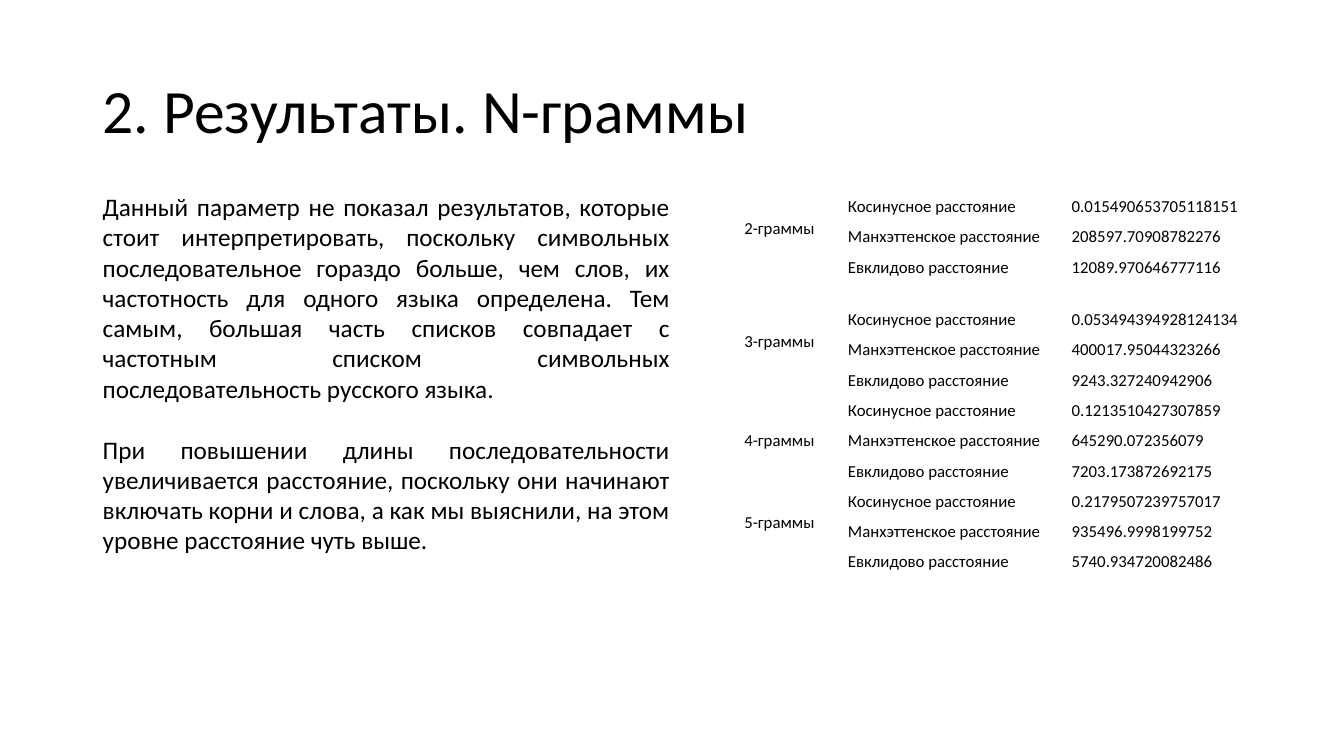
import pptx
import pptx.dml.color
import pptx.enum.text
import pptx.oxml
import pptx.oxml.ns
import pptx.util
from pptx.util import Inches

ALIGN = pptx.enum.text.PP_ALIGN
ANCHOR = pptx.enum.text.MSO_ANCHOR
BLACK = "000000"
PLAIN_STYLE = "{2D5ABB26-0587-4C30-8999-92F81FD0307C}"

TITLE = "2. Результаты. N-граммы"
BODY = [
    "Данный параметр не показал результатов, которые стоит интерпретировать, "
    "поскольку символьных последовательное гораздо больше, чем слов, их "
    "частотность для одного языка определена. Тем самым, большая часть списков "
    "совпадает с частотным списком символьных последовательность русского языка.",
    "При повышении длины последовательности увеличивается расстояние, поскольку "
    "они начинают включать корни и слова, а как мы выяснили, на этом уровне "
    "расстояние чуть выше.",
]
MEASURES = ["Косинусное расстояние", "Манхэттенское расстояние", "Евклидово расстояние"]
GROUPS = {
    "2-граммы": ["0.015490653705118151", "208597.70908782276", "12089.970646777116"],
    "3-граммы": ["0.053494394928124134", "400017.95044323266", "9243.327240942906"],
    "4-граммы": ["0.1213510427307859", "645290.072356079", "7203.173872692175"],
    "5-граммы": ["0.2179507239757017", "935496.9998199752", "5740.934720082486"],
}
COLUMN_WIDTHS = [1.28, 2.22, 2.32]
ROW_HEIGHT = 0.3
GROUP_END_HEIGHT = 0.52


def colour(value):
    return pptx.dml.color.RGBColor.from_string(value)


def apply_format(target, values):
    for name, value in values.items():
        setattr(target, name, value)


def write_para(para, text, size, **values):
    apply_format(para, values)
    span = para.add_run()
    span.text = text
    apply_format(span.font, {"name": "Calibri", "size": pptx.util.Pt(size)})
    span.font.color.rgb = colour(BLACK)


def add_text(page, left, top, width, height, texts, size, anchor, **values):
    box = page.shapes.add_textbox(Inches(left), Inches(top), Inches(width), Inches(height))
    frame = box.text_frame
    apply_format(frame, {"word_wrap": True, "vertical_anchor": anchor})
    for index, text in enumerate(texts):
        para = frame.add_paragraph() if index else frame.paragraphs[0]
        write_para(para, text, size, **values)
        if index:
            para.space_before = pptx.util.Pt(size * 1.22)


def set_borders(cell, has_line):
    properties = cell._tc.get_or_add_tcPr()
    for side in ("lnL", "lnR", "lnT", "lnB"):
        paint = "<a:noFill/>"
        if side == "lnB" and has_line:
            paint = f'<a:solidFill><a:srgbClr val="{BLACK}"/></a:solidFill>'
        properties.append(pptx.oxml.parse_xml(
            f'<a:{side} {pptx.oxml.ns.nsdecls("a")} w="12700">{paint}</a:{side}>'))


def fill_cell(cell, text, has_line, top_inset=0, align=ALIGN.JUSTIFY, spacing=1.5):
    apply_format(cell, {
        "margin_left": Inches(0.04), "margin_right": Inches(0.04),
        "margin_top": Inches(top_inset), "margin_bottom": 0,
        "vertical_anchor": ANCHOR.TOP,
    })
    set_borders(cell, has_line)
    cell.fill.background()
    write_para(cell.text_frame.paragraphs[0], text, 12, alignment=align, line_spacing=spacing)


def add_distance_table(page, left, top):
    step = len(MEASURES)
    count = step * len(GROUPS)
    frame = page.shapes.add_table(count, len(COLUMN_WIDTHS), Inches(left), Inches(top),
                                  Inches(sum(COLUMN_WIDTHS)), Inches(ROW_HEIGHT * count))
    table = frame.table
    apply_format(table, {"first_row": False, "horz_banding": False})
    table._tbl.tblPr.find(pptx.oxml.ns.qn("a:tableStyleId")).text = PLAIN_STYLE
    for column, width in zip(table.columns, COLUMN_WIDTHS):
        column.width = Inches(width)
    for row in table.rows:
        row.height = Inches(ROW_HEIGHT)
    table.rows[step - 1].height = Inches(GROUP_END_HEIGHT)

    for group, (label, distances) in enumerate(GROUPS.items()):
        first = group * step
        last = first + step - 1
        has_next = last < count - 1
        table.cell(first, 0).merge(table.cell(last, 0))
        fill_cell(table.cell(first, 0), label, has_next, 0.3, ALIGN.CENTER,
                  1.5 if label == "4-граммы" else 1.07)
        set_borders(table.cell(last, 0), has_next)
        for index, (measure, distance) in enumerate(zip(MEASURES, distances), first):
            fill_cell(table.cell(index, 1), measure, index < count - 1)
            fill_cell(table.cell(index, 2), distance, index < count - 1)


def main():
    deck = pptx.Presentation()
    apply_format(deck, {"slide_width": Inches(13.33), "slide_height": Inches(7.5)})
    page = deck.slides.add_slide(deck.slide_layouts[6])
    add_text(page, 0.92, 0.4, 11.5, 1.45, [TITLE], 44, ANCHOR.MIDDLE, line_spacing=0.9)
    add_distance_table(page, 7.09, 1.85)
    add_text(page, 0.92, 1.85, 5.82, 3.74, BODY, 18, ANCHOR.TOP, alignment=ALIGN.JUSTIFY)
    deck.save("out.pptx")


if __name__ == "__main__":
    main()
